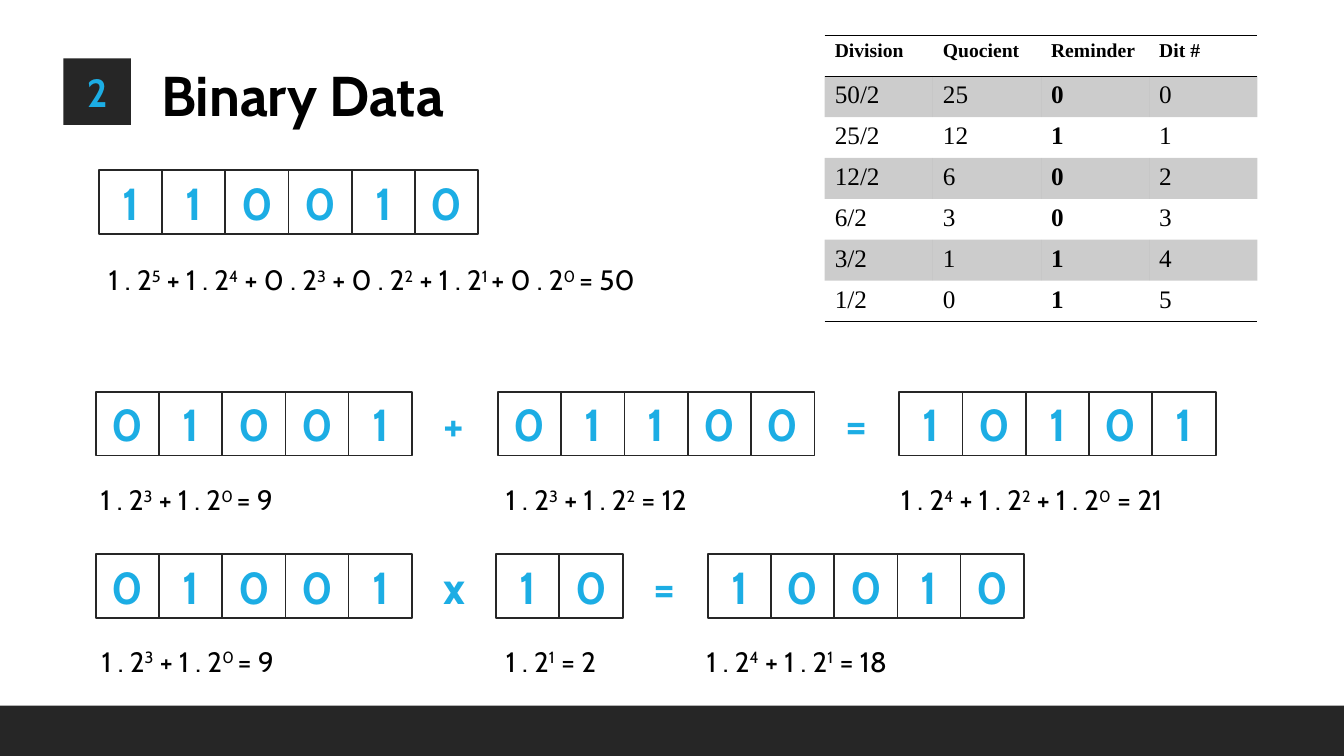
from lxml.etree import SubElement
from pptx import Presentation
from pptx.dml.color import RGBColor
from pptx.enum.shapes import MSO_SHAPE
from pptx.enum.text import MSO_ANCHOR, MSO_AUTO_SIZE, PP_ALIGN
from pptx.oxml.ns import qn
from pptx.util import Inches, Pt

BLACK = RGBColor(0x00, 0x00, 0x00)
WHITE = RGBColor(0xFF, 0xFF, 0xFF)
CHARCOAL = RGBColor(0x26, 0x26, 0x26)
BLUE = RGBColor(0x1C, 0xAD, 0xE4)

BIT_SIZE = 0.63
BIT_STEP = 0.627
NO_STYLE = "{2D5ABB26-0587-4C30-8999-92F81FD0307C}"

DIVISIONS = [
    ("Division", "Quocient", "Reminder", "Dit #"),
    ("50/2", "25", "0", "0"),
    ("25/2", "12", "1", "1"),
    ("12/2", "6", "0", "2"),
    ("6/2", "3", "0", "3"),
    ("3/2", "1", "1", "4"),
    ("1/2", "0", "1", "5"),
]

CALCULATIONS = [
    {
        "top": 1.69,
        "numbers": [(0.98, "110010")],
        "operators": [],
        "sum_top": 2.56,
        "sums": [(0.98, 7.41, "1 . 2{5} + 1 . 2{4} + 0 . 2{3} + 0 . 2{2} + 1 . 2{1 }+ 0 . 2{0 }= 50")],
    },
    {
        "top": 3.89,
        "numbers": [(0.95, "01001"), (4.94, "01100"), (8.92, "10101")],
        "operators": [(4.19, "+"), (8.18, "=")],
        "sum_top": 4.74,
        "sums": [
            (0.9, 2.42, "1 . 2{3} + 1 . 2{0 }= 9"),
            (4.92, 2.85, "1 . 2{3} + 1 . 2{2} = 12"),
            (8.84, 3.59, "1 . 2{4} + 1 . 2{2} + 1 . 2{0} = 21"),
        ],
    },
    {
        "top": 5.5,
        "numbers": [(0.95, "01001"), (4.92, "10"), (7.02, "10010")],
        "operators": [(4.19, "x"), (6.28, "=")],
        "sum_top": 6.34,
        "sums": [
            (0.91, 2.42, "1 . 2{3} + 1 . 2{0 }= 9"),
            (4.92, 1.37, "1 . 2{1} = 2"),
            (6.91, 2.51, "1 . 2{4} + 1 . 2{1} = 18"),
        ],
    },
]


class BinarySlide:
    """Draws the parts of the slide in one shared style."""

    def __init__(self, slide, font="Cabin", table_font="Times New Roman"):
        self.slide = slide
        self.shapes = slide.shapes
        self.font = font
        self.table_font = table_font

    def style(self, paragraph, size, color, bold=False, name=None):
        paragraph.font.name = name or self.font
        paragraph.font.size = Pt(size)
        paragraph.font.bold = bold
        paragraph.font.color.rgb = color

    def box(self, left, top, width, height, fill, text="", size=32, outlined=False):
        rectangle = self.shapes.add_shape(
            MSO_SHAPE.RECTANGLE, Inches(left), Inches(top), Inches(width), Inches(height))
        rectangle.shadow.inherit = False
        rectangle.fill.solid()
        rectangle.fill.fore_color.rgb = fill
        if outlined:
            rectangle.line.color.rgb = CHARCOAL
            rectangle.line.width = Pt(1.25)
        else:
            rectangle.line.fill.background()
        if text:
            frame = rectangle.text_frame
            frame.vertical_anchor = MSO_ANCHOR.MIDDLE
            frame.text = text
            frame.paragraphs[0].alignment = PP_ALIGN.CENTER
            self.style(frame.paragraphs[0], size, BLUE, bold=True)

    def text(self, left, top, width, height, content, size, bold=False):
        """Writes one line, with parts in braces raised as exponents."""
        frame = self.shapes.add_textbox(
            Inches(left), Inches(top), Inches(width), Inches(height)).text_frame
        frame.word_wrap = True
        frame.auto_size = MSO_AUTO_SIZE.SHAPE_TO_FIT_TEXT
        paragraph = frame.paragraphs[0]
        for index, part in enumerate(content.replace("}", "{").split("{")):
            run = paragraph.add_run()
            run.text = part
            if index % 2:
                run._r.get_or_add_rPr().set("baseline", "30000")
        self.style(paragraph, size, BLACK, bold)

    def calculation(self, top, numbers, operators, sum_top, sums):
        self.shapes = self.slide.shapes.add_group_shape().shapes
        for left, bits in numbers:
            for index, bit in enumerate(bits):
                self.box(left + index * BIT_STEP, top, BIT_SIZE, BIT_SIZE, WHITE, bit, outlined=True)
        for left, operator in operators:
            self.box(left, top, BIT_SIZE, BIT_SIZE, WHITE, operator)
        for left, width, powers in sums:
            self.text(left, sum_top, width, 0.44, powers, 20)
        self.shapes = self.slide.shapes

    def border(self, cell, side):
        line = SubElement(cell._tc.get_or_add_tcPr(), qn(f"a:{side}"), w=str(Pt(1)))
        SubElement(SubElement(line, qn("a:solidFill")), qn("a:srgbClr"), val=str(BLACK))

    def table(self, left, top, width, height, rows):
        table = self.shapes.add_table(
            len(rows), len(rows[0]), Inches(left), Inches(top), Inches(width), Inches(height)).table
        table.first_row = table.horz_banding = False
        table._tbl.tblPr.find(qn("a:tableStyleId")).text = NO_STYLE
        for row, values in enumerate(rows):
            for column, value in enumerate(values):
                cell = table.cell(row, column)
                cell.text = value
                header = row == 0
                self.style(cell.text_frame.paragraphs[0], 14 if header else 18, BLACK,
                           header or column == 2, self.table_font)
                if header:
                    self.border(cell, "lnT")
                if row in (0, len(rows) - 1):
                    self.border(cell, "lnB")
                if row % 2:
                    cell.fill.solid()
                    cell.fill.fore_color.rgb = BLACK
                    shade = cell._tc.tcPr.find(qn("a:solidFill")).find(qn("a:srgbClr"))
                    SubElement(shade, qn("a:alpha"), val="20000")
                else:
                    cell.fill.background()


def main():
    presentation = Presentation()
    presentation.slide_width = Inches(13.33)
    presentation.slide_height = Inches(7.5)
    page = BinarySlide(presentation.slides.add_slide(presentation.slide_layouts[6]))
    page.box(0, 7, 13.33, 0.5, CHARCOAL)
    page.box(0.63, 0.58, 0.67, 0.66, CHARCOAL, "2", size=28)
    page.text(1.5, 0.55, 3.48, 0.77, "Binary Data", 40, bold=True)
    for calculation in CALCULATIONS:
        page.calculation(**calculation)
    page.table(8.18, 0.35, 4.29, 2.84, DIVISIONS)
    presentation.save("out.pptx")


if __name__ == "__main__":
    main()
